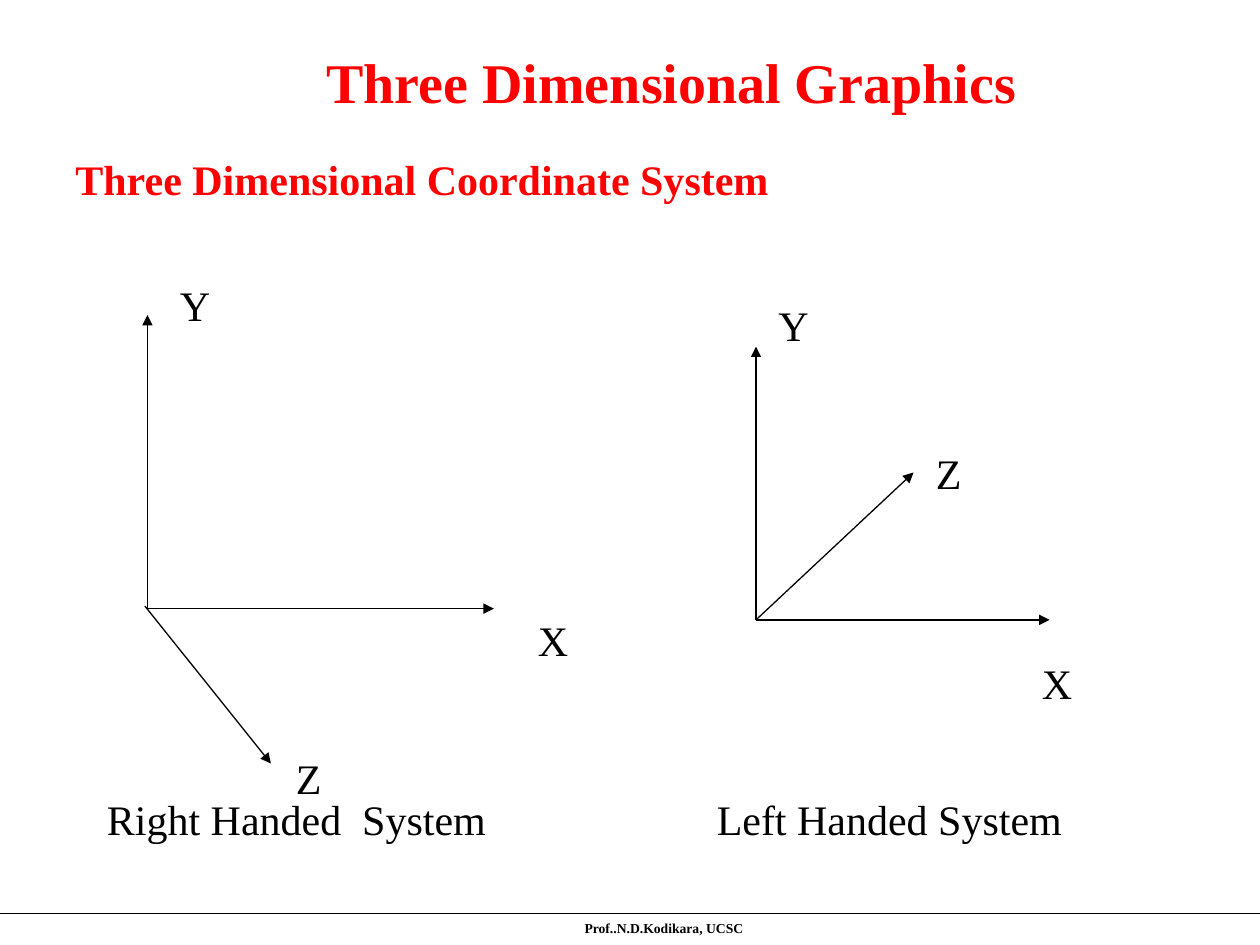
import pptx
import pptx.dml.color
import pptx.enum.shapes
import pptx.enum.text
import pptx.oxml
import pptx.oxml.ns
import pptx.util
from pptx.util import Inches

COLORS = {"heading": "FF0000", "ink": "000000"}
FONT = "Times New Roman"
ALIGN = pptx.enum.text.PP_ALIGN

# Each system: axis name -> (start, end, label corner)
RIGHT_HANDED = {
    "X": ((1.17, 4.83), (3.92, 4.83), (4.17, 4.83)),
    "Y": ((1.17, 4.83), (1.17, 2.5), (1.33, 2.17)),
    "Z": ((1.15, 4.81), (2.15, 6.06), (2.25, 5.92)),
}
LEFT_HANDED = {
    "X": ((6, 4.92), (8.33, 4.92), (8.17, 5.17)),
    "Y": ((6, 4.92), (6, 2.75), (6.08, 2.33)),
    "Z": ((6, 4.92), (7.25, 3.75), (7.33, 3.5)),
}


def add_xml(parent, tag, **attributes):
    element = pptx.oxml.parse_xml(f"<a:{tag} {pptx.oxml.ns.nsdecls('a')}/>")
    for name, value in attributes.items():
        element.set(name, str(value))
    parent.append(element)
    return element


def write_text(shape, text, size, color="ink", bold=False, align=ALIGN.LEFT):
    frame = shape.text_frame
    frame.word_wrap = True
    frame.auto_size = pptx.enum.text.MSO_AUTO_SIZE.NONE
    frame.vertical_anchor = pptx.enum.text.MSO_ANCHOR.TOP
    paragraph = frame.paragraphs[0]
    paragraph.alignment = align
    run = paragraph.add_run()
    run.text = text
    run.font.name = FONT
    run.font.size = pptx.util.Pt(size)
    run.font.bold = bold
    run.font.color.rgb = pptx.dml.color.RGBColor.from_string(COLORS[color])
    return paragraph


def add_title(slide, text):
    title = slide.shapes.title
    title.left, title.top = Inches(1.08), Inches(0.33)
    title.width, title.height = Inches(8.5), Inches(0.64)
    write_text(title, text, 32, "heading", True, ALIGN.CENTER)


def add_text(slide, text, left, top, width, height, size=24, **style):
    box = slide.shapes.add_textbox(
        Inches(left), Inches(top), Inches(width), Inches(height))
    return write_text(box, text, size, **style)


def add_line(slide, start, end, arrow=False):
    line = slide.shapes.add_connector(
        pptx.enum.shapes.MSO_CONNECTOR.STRAIGHT,
        *(Inches(value) for value in (*start, *end)))
    line.line.width = pptx.util.Pt(0.75)
    line.line.color.rgb = pptx.dml.color.RGBColor.from_string(COLORS["ink"])
    if arrow:
        add_xml(line.line._get_or_add_ln(), "tailEnd", type="triangle")
    add_xml(line._element.spPr, "effectLst")


def add_axes(slide, axes):
    for name, (start, end, corner) in axes.items():
        add_line(slide, start, end, arrow=True)
        add_text(slide, name, *corner, 0.5, 0.5)


def add_captions(slide):
    """Put both system names on one line, the second at a tab stop."""
    paragraph = add_text(
        slide, "Right Handed  System\tLeft Handed System", 0.75, 6.25, 8.42, 0.5)
    tabs = add_xml(paragraph._p.get_or_add_pPr(), "tabLst")
    add_xml(tabs, "tab", pos=Inches(4.84), algn="l")


def add_footer(slide):
    add_line(slide, (0, 7.25), (10, 7.25))
    add_text(slide, "Prof..N.D.Kodikara, UCSC", 0.77, 7.25, 9, 0.25,
             size=7.8, bold=True, align=ALIGN.CENTER)


def main():
    presentation = pptx.Presentation()
    presentation.slide_width = Inches(10)
    presentation.slide_height = Inches(7.5)
    slide = presentation.slides.add_slide(presentation.slide_layouts[5])

    add_footer(slide)
    add_title(slide, "Three Dimensional Graphics")
    add_text(slide, "Three Dimensional Coordinate System", 0.5, 1.17, 8.92, 0.5,
             color="heading", bold=True)
    add_axes(slide, RIGHT_HANDED)
    add_axes(slide, LEFT_HANDED)
    add_captions(slide)
    presentation.save("out.pptx")


if __name__ == "__main__":
    main()
